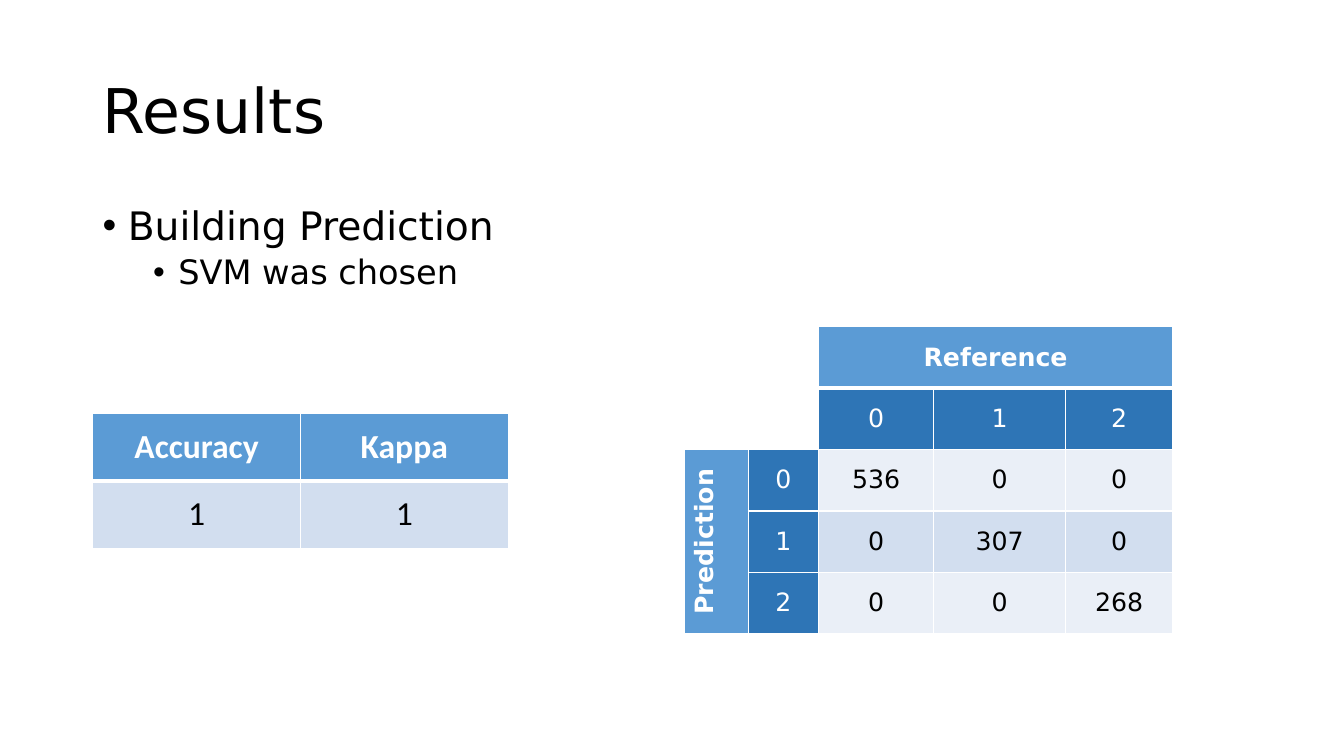
from lxml.etree import SubElement
from pptx import Presentation
from pptx.dml.color import RGBColor
from pptx.enum.text import MSO_ANCHOR, PP_ALIGN
from pptx.oxml import parse_xml
from pptx.oxml.ns import nsdecls, qn
from pptx.util import Inches, Pt

COLORS = {
    "text": "000000",
    "white": "FFFFFF",
    "header": "5B9BD5",
    "label": "2E75B6",
    "light": "EAEFF7",
    "band": "D2DEEF",
}


def apply(target, values):
    for name, value in values.items():
        setattr(target, name, value)


class SlideBuilder:
    def __init__(self, page, font):
        self.page = page
        self.font = font

    def add_span(self, para, text, size, color="text", bold=False, font=None):
        span = para.add_run()
        span.text = text
        apply(span.font, {"name": font or self.font, "size": Pt(size), "bold": bold})
        span.font.color.rgb = RGBColor.from_string(COLORS[color])

    def title(self, text, left, top, width, height):
        box = self.page.shapes.title
        apply(box, {"left": Inches(left), "top": Inches(top),
                    "width": Inches(width), "height": Inches(height)})
        box.text_frame.vertical_anchor = MSO_ANCHOR.MIDDLE
        para = box.text_frame.paragraphs[0]
        apply(para, {"alignment": PP_ALIGN.LEFT, "line_spacing": 0.9})
        self.add_span(para, text, 44)

    def bullets(self, items, left, top, width, height):
        box = self.page.shapes.add_textbox(
            Inches(left), Inches(top), Inches(width), Inches(height))
        frame = box.text_frame
        frame.word_wrap = True
        for index, (level, text, size, space) in enumerate(items):
            para = frame.add_paragraph() if index else frame.paragraphs[0]
            apply(para, {"level": level, "line_spacing": 0.9, "space_before": Pt(space)})
            properties = para._p.get_or_add_pPr()
            properties.set("marL", str(Inches(0.25 + 0.5 * level)))
            properties.set("indent", str(Inches(-0.25)))
            SubElement(properties, qn("a:buFont")).set("typeface", "Arial")
            SubElement(properties, qn("a:buChar")).set("char", "•")
            self.add_span(para, text, size)

    def table(self, left, top, widths, heights):
        grid = self.page.shapes.add_table(
            len(heights), len(widths), Inches(left), Inches(top),
            Inches(sum(widths)), Inches(sum(heights))).table
        for column, width in zip(grid.columns, widths):
            column.width = Inches(width)
        for row, height in zip(grid.rows, heights):
            row.height = Inches(height)
        return grid

    def cell(self, cell, text, fill, size, font=None, under=1, above=1):
        cell.vertical_anchor = MSO_ANCHOR.MIDDLE
        cell.fill.solid()
        cell.fill.fore_color.rgb = RGBColor.from_string(COLORS[fill])
        borders = {"lnL": 1, "lnR": 1, "lnT": above, "lnB": under}
        properties = cell._tc.get_or_add_tcPr()
        for index, (side, width) in enumerate(borders.items()):
            properties.insert(index, parse_xml(
                f'<a:{side} {nsdecls("a")} w="{Pt(width)}"><a:solidFill>'
                f'<a:srgbClr val="{COLORS["white"]}"/></a:solidFill></a:{side}>'))
        if text:
            para = cell.text_frame.paragraphs[0]
            para.alignment = PP_ALIGN.CENTER
            color = "white" if fill in ("header", "label") else "text"
            self.add_span(para, text, size, color, fill == "header", font)

    def confusion_matrix(self, left, top, classes, counts):
        grid = self.table(left, top, [0.63, 0.7, 1.14, 1.31, 1.06], [0.61] * 5)
        rows = [["", "", "Reference", "", ""], ["", "", *classes]]
        rows += [["", name, *values] for name, values in zip(classes, counts)]
        rows[2][0] = "Prediction"
        for r, row in enumerate(rows):
            for c, text in enumerate(row):
                if r < 2 and c < 2:
                    fill = "white"
                elif r == 0 or c == 0:
                    fill = "header"
                elif r == 1 or c == 1:
                    fill = "label"
                else:
                    fill = "band" if r % 2 else "light"
                heavy = 3 if c > 1 else 1
                self.cell(grid.cell(r, c), text, fill, 18,
                          under=heavy if r == 0 else 1,
                          above=heavy if r == 1 else 1)
        grid.cell(0, 2).merge(grid.cell(0, 4))
        grid.cell(2, 0).merge(grid.cell(4, 0))
        grid.cell(2, 0)._tc.get_or_add_tcPr().set("vert", "vert270")

    def metrics(self, left, top, values):
        grid = self.table(left, top, [2.06] * len(values), [0.67, 0.67])
        for c, (name, value) in enumerate(values.items()):
            self.cell(grid.cell(0, c), name, "header", 24, "Calibri", under=3)
            self.cell(grid.cell(1, c), value, "band", 24, "Calibri", above=3)


def main():
    deck = Presentation()
    apply(deck, {"slide_width": Inches(13.33), "slide_height": Inches(7.5)})
    slide = SlideBuilder(deck.slides.add_slide(deck.slide_layouts[5]), "DejaVu Sans")
    slide.title("Results", 0.92, 0.4, 11.5, 1.45)
    slide.bullets([(0, "Building Prediction", 28, 10), (1, "SVM was chosen", 24, 5)],
                  0.92, 2, 11.5, 4.76)
    slide.confusion_matrix(6.79, 3.24, ["0", "1", "2"],
                           [["536", "0", "0"], ["0", "307", "0"], ["0", "0", "268"]])
    slide.metrics(0.92, 4.1, {"Accuracy": "1", "Kappa": "1"})
    deck.save("out.pptx")


if __name__ == "__main__":
    main()
